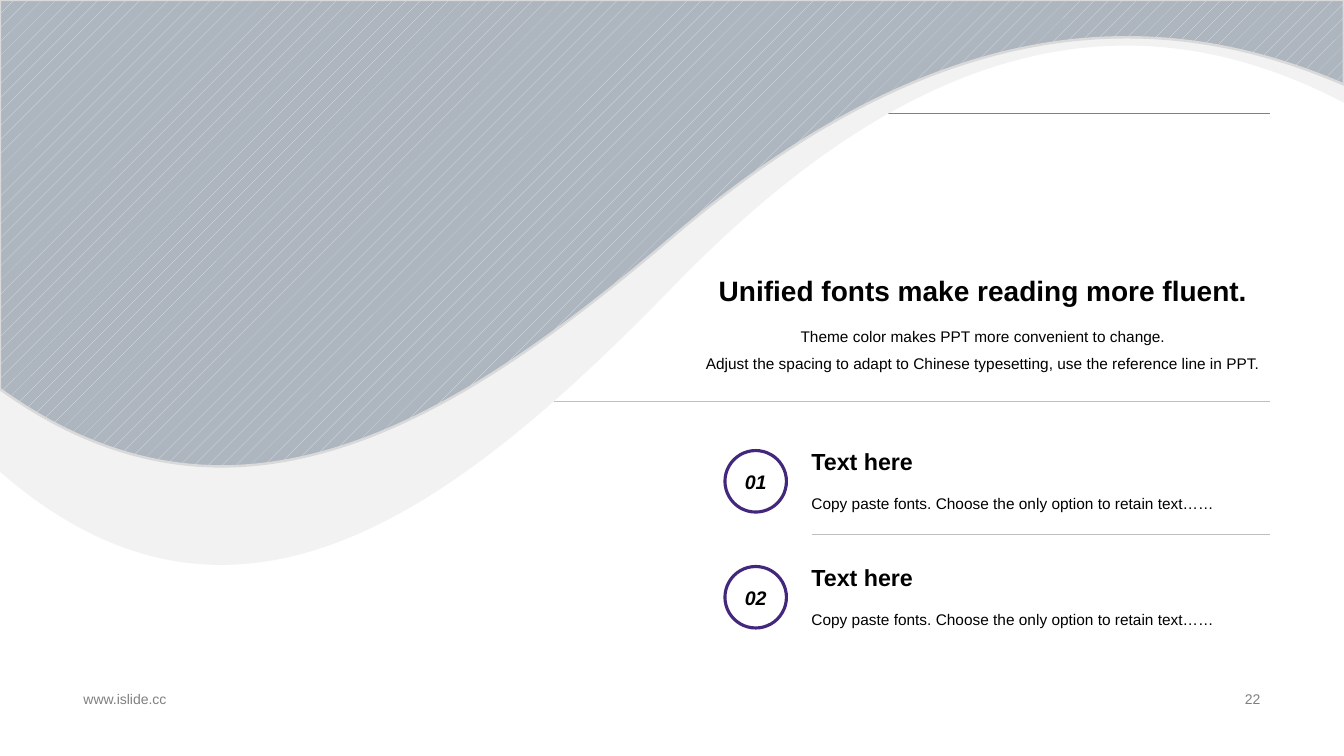
import pptx
import pptx.util
import pptx.oxml.ns
from lxml import etree
from pptx.dml.color import RGBColor
from pptx.enum.dml import MSO_PATTERN
from pptx.enum.shapes import MSO_CONNECTOR, MSO_SHAPE
from pptx.enum.text import MSO_ANCHOR, PP_ALIGN
from pptx.util import Inches, Pt

TITLE = "Unified fonts make reading more fluent."
INTRO = [
    "Theme color makes PPT more convenient to change.",
    "Adjust the spacing to adapt to Chinese typesetting, use the reference line in PPT.",
]
ITEMS = [
    ("01", "Text here", "Copy paste fonts. Choose the only option to retain text……"),
    ("02", "Text here", "Copy paste fonts. Choose the only option to retain text……"),
]
SITE = "www.islide.cc"
PAGE = "22"

FONT = "Arial"
BLACK = RGBColor(0x00, 0x00, 0x00)
GRAY = RGBColor(0x80, 0x80, 0x80)
RULE = RGBColor(0xBF, 0xBF, 0xBF)
PURPLE = RGBColor(0x42, 0x27, 0x7C)
PALE = RGBColor(0xF2, 0xF2, 0xF2)
EDGE = RGBColor(0xD9, 0xD9, 0xD9)
SLATE = RGBColor(0xAD, 0xB5, 0xBF)
MIST = RGBColor(0xE4, 0xE6, 0xEA)

WIDE, HIGH = 13.33, 7.5
RIGHT = 12.6
LEFT = 6.9       # heading block
TEXT = 7.95      # item text
ROW, STEP = 4.33, 1.15

# Each wave: depth, right end, then two curves of two handles and an end point
BACK = (5.6, (WIDE, 1.02), [
    [(11, -0.2), (8.84, 0.61), (6.67, 2.85)],
    [(4.5, 5.08), (2.33, 6.71), (0, 4.68)],
])
FRONT = (4.63, (WIDE, 0.84), [
    [(11.01, -0.17), (8.84, 0.5), (6.67, 2.35)],
    [(4.5, 4.2), (2.33, 5.54), (0, 3.86)],
])

deck = pptx.Presentation()
deck.slide_width, deck.slide_height = Inches(WIDE), Inches(HIGH)
slide = deck.slides.add_slide(deck.slide_layouts[6])
shapes = slide.shapes


def style(frame, size, color=BLACK, bold=False, italic=False,
          align=PP_ALIGN.LEFT, space=None):
    for para in frame.paragraphs:
        para.alignment = align
        if space:
            para.line_spacing = space
        for run in para.runs:
            font = run.font
            font.name, font.size = FONT, Pt(size)
            font.bold, font.italic = bold, italic
            font.color.rgb = color


def add_text(text, x, y, w, h, size, anchor=MSO_ANCHOR.TOP, **look):
    frame = shapes.add_textbox(*map(Inches, (x, y, w, h))).text_frame
    frame.word_wrap = True
    frame.vertical_anchor = anchor
    frame.text = text
    style(frame, size, **look)


def add_rule(x, y, color):
    """Draw a thin level line from x to the right margin."""
    line = shapes.add_connector(MSO_CONNECTOR.STRAIGHT, Inches(x), Inches(y),
                                Inches(RIGHT), Inches(y))
    line.line.color.rgb = color
    line.line.width = Pt(0.25)
    etree.SubElement(line._element.spPr, pptx.oxml.ns.qn("a:effectLst"))


def add_badge(label, x, y, size):
    badge = shapes.add_shape(MSO_SHAPE.OVAL, *map(Inches, (x, y, size, size)))
    badge.shadow.inherit = False
    badge.fill.background()
    badge.line.color.rgb = PURPLE
    badge.line.width = Pt(2.25)
    frame = badge.text_frame
    frame.margin_left = frame.margin_right = 0
    frame.word_wrap = False
    frame.vertical_anchor = MSO_ANCHOR.MIDDLE
    frame.text = label
    style(frame, 14, bold=True, italic=True, align=PP_ALIGN.CENTER)


def add_wave(depth, end, curves):
    """Build the bounding outline, then redraw its lower side with curves."""
    pen = shapes.build_freeform(0, 0, scale=1)
    box = [(WIDE, 0), (WIDE, depth), (0, depth)]
    pen.add_line_segments([tuple(map(Inches, spot)) for spot in box])
    wave = pen.convert_to_shape()
    wave.shadow.inherit = False

    qn = pptx.oxml.ns.qn
    track = next(wave._element.iter(qn("a:path")))
    for part in list(track):
        track.remove(part)
    moves = [("moveTo", [(0, 0)]), ("lnTo", [(WIDE, 0)]), ("lnTo", [end])]
    moves += [("cubicBezTo", curve) for curve in curves]
    for kind, spots in moves + [("close", [])]:
        part = etree.SubElement(track, qn("a:" + kind))
        for x, y in spots:
            etree.SubElement(part, qn("a:pt"), x=str(Inches(x)), y=str(Inches(y)))
    return wave


add_rule(0.73, 1.12, GRAY)
for text, x, w, align in [(SITE, 0.73, 4.53, PP_ALIGN.LEFT),
                          (PAGE, 9.42, 3.18, PP_ALIGN.RIGHT)]:
    add_text(text, x, 6.82, w, 0.23, 10, MSO_ANCHOR.MIDDLE,
             color=GRAY, align=align)

add_text(TITLE, LEFT, 2.66, RIGHT - LEFT, 0.44, 20, MSO_ANCHOR.BOTTOM,
         bold=True, align=PP_ALIGN.CENTER)
add_text("\n".join(INTRO), LEFT, 3.1, RIGHT - LEFT, 0.69, 11,
         align=PP_ALIGN.CENTER, space=1.5)
add_rule(5.49, 3.98, RULE)

for n, (label, head, body) in enumerate(ITEMS):
    top = ROW + n * STEP
    add_badge(label, 7.19, top + 0.14, 0.61)
    add_text(head, TEXT, top, 4.36, 0.43, 16.6, MSO_ANCHOR.BOTTOM,
             bold=True, space=1.2)
    add_text(body, TEXT, top + 0.43, 4.36, 0.46, 11, space=1.5)

back = add_wave(*BACK)
back.fill.solid()
back.fill.fore_color.rgb = PALE
back.line.fill.background()

front = add_wave(*FRONT)
front.fill.patterned()
front.fill.pattern = MSO_PATTERN.PERCENT_5
front.fill.fore_color.rgb = MIST
front.fill.back_color.rgb = SLATE
front.line.color.rgb = EDGE
front.line.width = Pt(1.75)

add_rule(TEXT + 0.1, 5.3, RULE)

deck.save("out.pptx")
